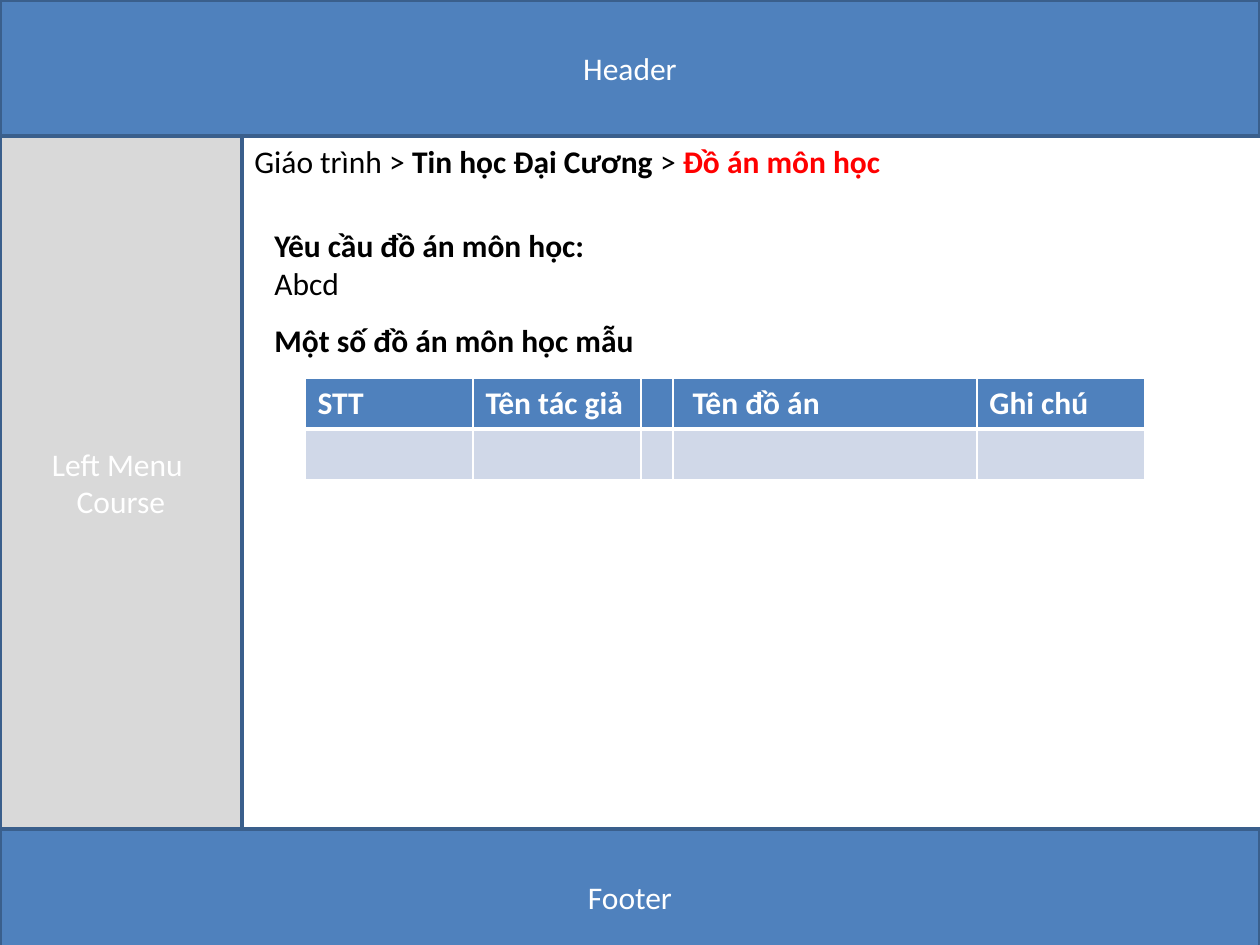
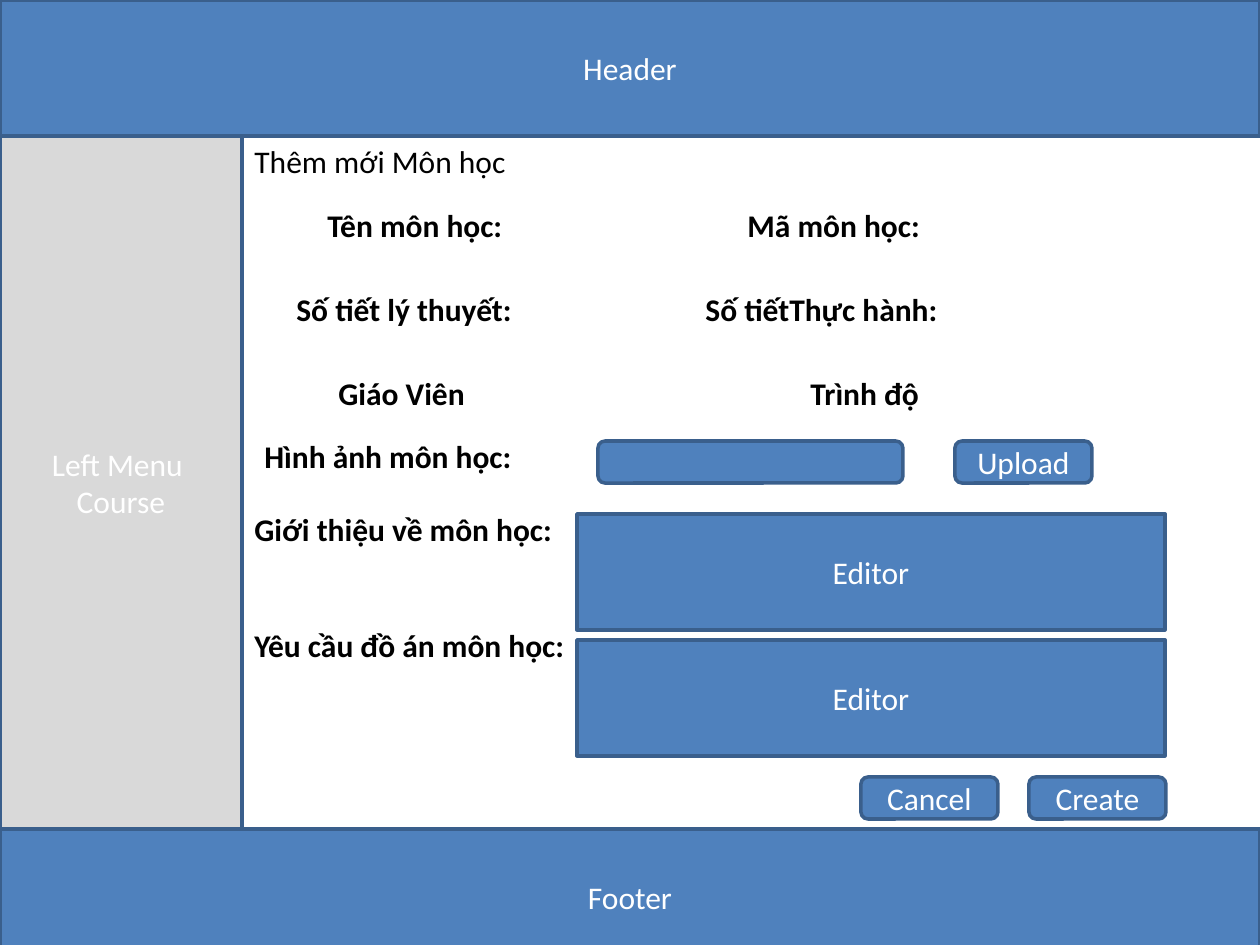
"""Build two wireframe slides for a course website."""
from dataclasses import dataclass

from lxml import etree
from pptx import Presentation
from pptx import util as u
from pptx.dml.color import RGBColor
from pptx.enum import shapes, text
from pptx.oxml import ns

EMU_PER_PIXEL = 914400 // 126


@dataclass(frozen=True)
class Theme:
    """Colours and type shared by both slides."""
    blue: str = "4F81BD"
    outline: str = "3A5F8C"
    grey: str = "D9D9D9"
    pale: str = "D0D8E8"
    white: str = "FFFFFF"
    black: str = "000000"
    red: str = "FF0000"
    font: str = "Calibri"
    size: int = 18
    outline_width: int = 2


THEME = Theme()


@dataclass(frozen=True)
class Span:
    """A stretch of text with its own weight and colour."""
    words: str
    bold: bool = False
    color: str = THEME.black


@dataclass(frozen=True)
class Panel:
    """A filled, outlined shape with centred lines of text."""
    left: int
    top: int
    width: int
    height: int
    lines: tuple[str, ...] = ()
    fill: str = THEME.blue
    rounded: bool = False


@dataclass(frozen=True)
class Label:
    """A text box; each line is a tuple of spans."""
    left: int
    top: int
    width: int
    lines: tuple[tuple[Span, ...], ...]
    height: int = 51
    wrap: bool = False


SIDE, CONTENT_TOP, FOOTER_TOP, PAGE_WIDTH = 242, 136, 829, 1260
BAND = 136
FRAME = (
    Panel(0, 0, PAGE_WIDTH, BAND, ("Header",)),
    Panel(0, CONTENT_TOP, SIDE, FOOTER_TOP - CONTENT_TOP, ("Left Menu ", "Course"), THEME.grey),
    Panel(0, FOOTER_TOP, PAGE_WIDTH, BAND, ("Footer",)),
)


def px(pixels: int) -> u.Emu:
    """Turn pixels into EMU."""
    return u.Emu(pixels * EMU_PER_PIXEL)


def rgb(color: str) -> RGBColor:
    """Turn a hex string into a colour."""
    return RGBColor.from_string(color)


def write(para, spans: tuple[Span, ...]) -> None:
    """Write spans, with the first one's style set on the paragraph."""
    first = spans[0]
    font = para.font
    font.name, font.size, font.bold = THEME.font, u.Pt(THEME.size), first.bold
    font.color.rgb = rgb(first.color)
    for span in spans:
        run = para.add_run()
        run.text = span.words
        if span.bold != first.bold:
            run.font.bold = span.bold
        if span.color != first.color:
            run.font.color.rgb = rgb(span.color)


def write_lines(frame, lines: tuple[tuple[Span, ...], ...], align) -> None:
    """Fill a text frame with one paragraph per line."""
    for index, spans in enumerate(lines):
        para = frame.add_paragraph() if index else frame.paragraphs[0]
        para.alignment = align
        write(para, spans)


def draw_panel(page, panel: Panel) -> None:
    """Draw a band, menu, field, editor or button."""
    kinds = shapes.MSO_SHAPE
    kind = kinds.ROUNDED_RECTANGLE if panel.rounded else kinds.RECTANGLE
    box = page.shapes.add_shape(
        kind, px(panel.left), px(panel.top), px(panel.width), px(panel.height))
    box.shadow.inherit = False
    box.fill.solid()
    box.fill.fore_color.rgb = rgb(panel.fill)
    box.line.color.rgb = rgb(THEME.outline)
    box.line.width = u.Pt(THEME.outline_width)
    box.text_frame.vertical_anchor = text.MSO_ANCHOR.MIDDLE
    lines = tuple((Span(line, color=THEME.white),) for line in panel.lines)
    write_lines(box.text_frame, lines, text.PP_ALIGN.CENTER)


def draw_label(page, label: Label) -> None:
    """Draw a text box."""
    box = page.shapes.add_textbox(
        px(label.left), px(label.top), px(label.width), px(label.height))
    box.text_frame.word_wrap = label.wrap
    box.text_frame.auto_size = text.MSO_AUTO_SIZE.SHAPE_TO_FIT_TEXT
    write_lines(box.text_frame, label.lines, text.PP_ALIGN.LEFT)


def set_borders(cell, bottom: int) -> None:
    """Give a cell white borders, 1 point wide except the bottom one."""
    properties = cell._tc.get_or_add_tcPr()
    widths = {"a:lnL": 1, "a:lnR": 1, "a:lnT": 1, "a:lnB": bottom}
    for index, (tag, points) in enumerate(widths.items()):
        line = etree.Element(ns.qn(tag), w=str(u.Pt(points)))
        fill = etree.SubElement(line, ns.qn("a:solidFill"))
        etree.SubElement(fill, ns.qn("a:srgbClr"), val=THEME.white)
        properties.insert(index, line)


def draw_table(page, left: int, top: int, row_height: int,
               columns: tuple[tuple[str, int], ...]) -> None:
    """Draw a heading row above one empty row."""
    total = sum(width for _, width in columns)
    table = page.shapes.add_table(
        2, len(columns), px(left), px(top), px(total), px(2 * row_height)).table
    for row in table.rows:
        row.height = px(row_height)
    for index, (heading, width) in enumerate(columns):
        table.columns[index].width = px(width)
        for row, (fill, bottom) in enumerate(((THEME.blue, 3), (THEME.pale, 1))):
            cell = table.cell(row, index)
            cell.fill.solid()
            cell.fill.fore_color.rgb = rgb(fill)
            set_borders(cell, bottom)
        if heading:
            write(table.cell(0, index).text_frame.paragraphs[0],
                  (Span(heading, True, THEME.white),))


def add_page(deck, *breadcrumb: Span):
    """Add a page with the site frame and a breadcrumb."""
    page = deck.slides.add_slide(deck.slide_layouts[6])
    for panel in FRAME:
        draw_panel(page, panel)
    draw_label(page, Label(SIDE, CONTENT_TOP, PAGE_WIDTH - SIDE, (breadcrumb,), wrap=True))
    return page


def build_project_page(deck) -> None:
    """Course project page with a table of sample projects."""
    page = add_page(
        deck, Span("Giáo trình > "), Span("Tin học Đại Cương ", True),
        Span("> "), Span("Đồ án môn học", True, THEME.red))
    draw_label(page, Label(
        262, 220, 339,
        ((Span("Yêu cầu đồ án môn học:", True),), (Span("Abcd"),)), height=127))
    draw_label(page, Label(
        262, 315, 494, ((Span("Một số đồ án môn học mẫu", True),),), height=89, wrap=True))
    draw_table(page, 305, 378, 51, (
        ("STT", 168), ("Tên tác giả", 168), ("", 32),
        (" Tên đồ án ", 304), ("Ghi chú", 168)))


def build_course_form(deck) -> None:
    """Form for adding a new course."""
    page = add_page(deck, Span("Thêm mới Môn học "))
    fields = (
        ("Tên món học:".replace("món", "môn"), 315, 200, 202),
        ("Mã môn học:", 735, 200, 220),
        ("Số tiết lý thuyết:", 284, 284, 243),
        ("Số tiếtThực hành:", 693, 284, 260),
        ("Giáo Viên", 326, 368, 152),
        ("Trình độ", 798, 368, 135),
        ("Hình ảnh môn học:", 252, 431, 275),
        ("Giới thiệu về môn học:", SIDE, 504, 326),
        ("Yêu cầu đồ án môn học:", SIDE, 620, 339),
    )
    for words, left, top, width in fields:
        draw_label(page, Label(left, top, width, ((Span(words, True),),)))
    draw_panel(page, Panel(598, 441, 305, 42, rounded=True))
    for words, left, top in (("Upload", 955, 441), ("Cancel", 861, 777), ("Create", 1029, 777)):
        draw_panel(page, Panel(left, top, 137, 42, (words,), rounded=True))
    for top in (514, 640):
        draw_panel(page, Panel(577, top, 588, 116, ("Editor",)))


def main() -> None:
    """Build and save the deck."""
    deck = Presentation()
    deck.slide_width, deck.slide_height = u.Inches(10), u.Inches(7.5)
    build_project_page(deck)
    build_course_form(deck)
    deck.save("out.pptx")


main()
